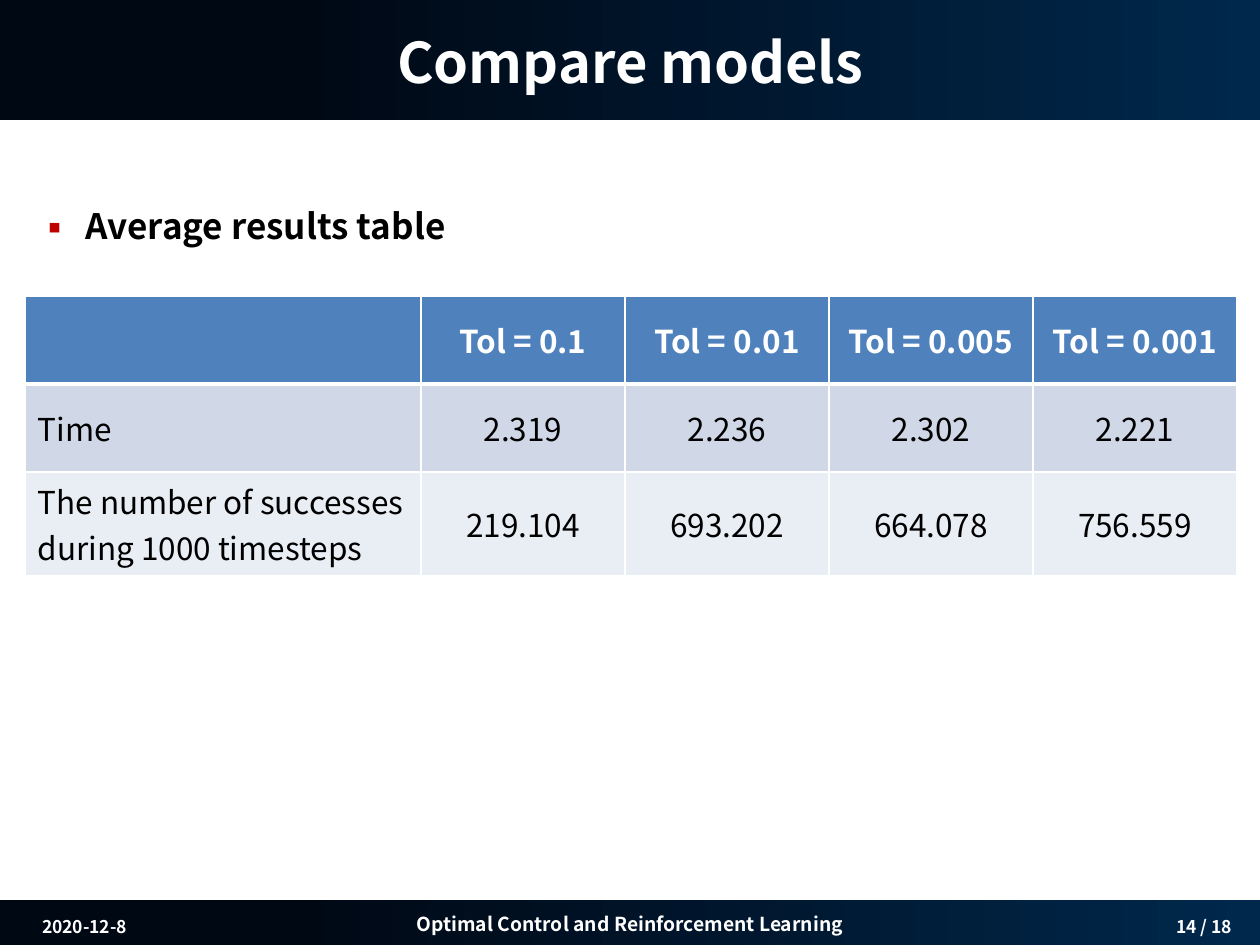
from dataclasses import dataclass

from lxml import etree
from pptx import Presentation
from pptx.dml.color import RGBColor
from pptx.enum.shapes import MSO_SHAPE
from pptx.enum.text import MSO_ANCHOR, MSO_AUTO_SIZE, PP_ALIGN
from pptx.oxml.ns import qn
from pptx.util import Pt

LEFT, CENTER = PP_ALIGN.LEFT, PP_ALIGN.CENTER
MIDDLE, TOP = MSO_ANCHOR.MIDDLE, MSO_ANCHOR.TOP
NO_AUTOFIT = MSO_AUTO_SIZE.NONE
RECTANGLE = MSO_SHAPE.RECTANGLE
EMU_PER_PX = 914400 / 126


@dataclass(frozen=True)
class Theme:
    font: str = "Noto Sans CJK KR"
    white: str = "FFFFFF"
    black: str = "000000"
    band_light: str = "00284C"
    band_dark: str = "000814"
    bullet: str = "C00000"
    row_fills: tuple = ("4F81BD", "D0D8E8", "E9EDF4")
    title_size: int = 32
    body_size: int = 20
    table_size: int = 18
    footer_size: int = 11
    small_size: int = 10


theme = Theme()


def px(*lengths):
    return [round(length * EMU_PER_PX) for length in lengths]


def write(frame, text, size, color, bold=True, align=CENTER):
    frame.text = text
    paragraph = frame.paragraphs[0]
    paragraph.alignment = align
    for run in paragraph.runs:
        run.font.name = theme.font
        run.font.size = Pt(size)
        run.font.bold = bold
        run.font.color.rgb = RGBColor.from_string(color)
    return paragraph


deck = Presentation()
deck.slide_width, deck.slide_height = px(1260, 945)
slide = deck.slides.add_slide(deck.slide_layouts[1])
shapes = slide.shapes
title, body = slide.placeholders

for box in ((0, 0, 1261, 120), (-1, 900, 1262, 47)):
    band = shapes.add_shape(RECTANGLE, *px(*box))
    band.shadow.inherit = False
    band.line.fill.background()
    band.fill.gradient()
    band.fill.gradient_angle = 180
    light, dark = band.fill.gradient_stops
    light.color.rgb = RGBColor.from_string(theme.band_light)
    light.position = 0
    dark.color.rgb = RGBColor.from_string(theme.band_dark)
    dark.position = 0.77

course = band.text_frame
course.word_wrap = False
course.vertical_anchor = MIDDLE
write(course, "Optimal Control and Reinforcement Learning", theme.footer_size, theme.white)

for text, box in (("14 / 18", (1155, 910, 98, 34)), ("2020-12-8", (5, 910, 159, 34))):
    label = shapes.add_textbox(*px(*box)).text_frame
    label.word_wrap = True
    write(label, text, theme.small_size, theme.white)

for placeholder, box, anchor in (
    (body, (25, 135, 1211, 745), TOP),
    (title, (25, 19, 1211, 84), MIDDLE),
):
    placeholder.left, placeholder.top, placeholder.width, placeholder.height = px(*box)
    placeholder.text_frame.auto_size = NO_AUTOFIT
    placeholder.text_frame.vertical_anchor = anchor
    shapes._spTree.append(placeholder._element)

write(title.text_frame, "Compare models", theme.title_size, theme.white)
heading = write(body.text_frame, "Average results table", theme.body_size, theme.black, align=LEFT)
body.text_frame.margin_top = px(70)[0]
heading.space_before = Pt(0)
heading_format = heading._p.get_or_add_pPr()
indent = px(48)[0]
heading_format.set("marL", str(indent))
heading_format.set("indent", str(-indent))
bullet_color = etree.SubElement(heading_format, qn("a:buClr"))
etree.SubElement(bullet_color, qn("a:srgbClr"), val=theme.bullet)
etree.SubElement(heading_format, qn("a:buFont"), typeface=theme.font)
etree.SubElement(heading_format, qn("a:buChar"), char="▪")

results = (
    ("", "Tol = 0.1", "Tol = 0.01", "Tol = 0.005", "Tol = 0.001"),
    ("Time", "2.319", "2.236", "2.302", "2.221"),
    ("The number of successes during 1000 timesteps", "219.104", "693.202", "664.078", "756.559"),
)
table = shapes.add_table(len(results), len(results[0]), *px(25, 296, 1212, 264)).table
for column, width in zip(table.columns, px(396, 204, 204, 204, 204)):
    column.width = width

for row_index, values in enumerate(results):
    table.rows[row_index].height = px(88)[0]
    is_header = row_index == 0
    edge_widths = {
        "a:lnL": 1,
        "a:lnR": 1,
        "a:lnT": 3 if row_index == 1 else 1,
        "a:lnB": 3 if is_header else 1,
    }
    for column_index, value in enumerate(values):
        cell = table.cell(row_index, column_index)
        cell.vertical_anchor = MIDDLE
        cell.fill.solid()
        cell.fill.fore_color.rgb = RGBColor.from_string(theme.row_fills[row_index])
        write(
            cell.text_frame,
            value,
            theme.table_size,
            theme.white if is_header else theme.black,
            bold=is_header,
            align=CENTER if column_index else LEFT,
        )
        cell_format = cell._tc.get_or_add_tcPr()
        for position, (edge, width) in enumerate(edge_widths.items()):
            border = etree.Element(qn(edge), w=str(Pt(width)))
            border_fill = etree.SubElement(border, qn("a:solidFill"))
            etree.SubElement(border_fill, qn("a:srgbClr"), val=theme.white)
            cell_format.insert(position, border)

deck.save("out.pptx")
